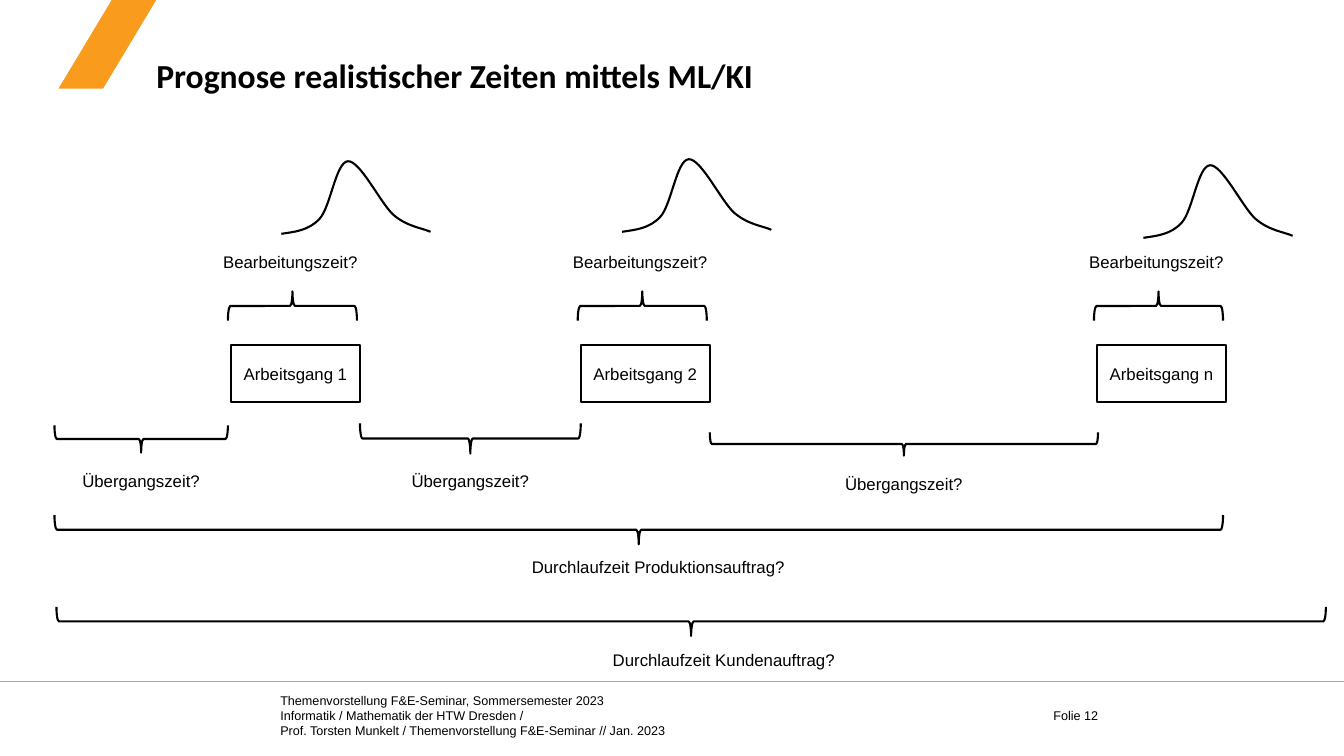
from dataclasses import dataclass

from lxml.etree import SubElement
from pptx import Presentation
from pptx.dml.color import RGBColor
from pptx.enum.shapes import MSO_CONNECTOR, MSO_SHAPE as SHAPE
from pptx.enum.text import MSO_ANCHOR as ANCHOR, MSO_AUTO_SIZE as AUTO, PP_ALIGN as ALIGN
from pptx.oxml.ns import qn
from pptx.util import Inches, Pt


@dataclass(frozen=True)
class Theme:
    black: RGBColor = RGBColor(0, 0, 0)
    white: RGBColor = RGBColor(255, 255, 255)
    orange: RGBColor = RGBColor(0xF9, 0x9B, 0x1C)
    title_font: str = "Calibri"
    body_font: str = "Arial"
    title_size: int = 24
    body_size: int = 12
    footer_size: int = 9
    stroke: float = 1.5
    rule: float = 1


BELL = [
    (0, 0.72),
    (0.13, 0.7), (0.27, 0.69), (0.38, 0.57),
    (0.49, 0.45), (0.54, 0.01), (0.66, 0),
    (0.78, -0.01), (0.98, 0.41), (1.11, 0.53),
    (1.25, 0.65), (1.39, 0.66), (1.48, 0.7),
]


class SlideBuilder:
    def __init__(self, prs, theme):
        self.theme = theme
        self.slide = prs.slides.add_slide(prs.slide_layouts[5])
        self.shapes = self.slide.shapes

    def format(self, tf, size, align=ALIGN.LEFT, font=None, bold=False):
        for p in tf.paragraphs:
            p.alignment = align
            for r in p.runs:
                r.font.name = font or self.theme.body_font
                r.font.size = Pt(size)
                r.font.bold = bold
                r.font.color.rgb = self.theme.black

    def no_margins(self, tf):
        tf.margin_left = tf.margin_right = tf.margin_top = tf.margin_bottom = 0

    def title(self, text, x, y, w, h):
        sp = self.shapes.title
        sp.left, sp.top, sp.width, sp.height = map(Inches, (x, y, w, h))
        tf = sp.text_frame
        tf.text = text
        tf.auto_size = AUTO.NONE
        tf.vertical_anchor = ANCHOR.BOTTOM
        self.no_margins(tf)
        tf.paragraphs[0].line_spacing = 0.9
        self.format(tf, self.theme.title_size, font=self.theme.title_font, bold=True)

    def text(self, text, x, y, w, h=0.3, size=None, align=ALIGN.CENTER, margins=True):
        tf = self.shapes.add_textbox(*map(Inches, (x, y, w, h))).text_frame
        tf.word_wrap = True
        tf.auto_size = AUTO.SHAPE_TO_FIT_TEXT
        tf.text = text
        if not margins:
            self.no_margins(tf)
        self.format(tf, size or self.theme.body_size, align)

    def shape(self, kind, x, y, w, h, fill=None, line=None):
        sp = self.shapes.add_shape(kind, *map(Inches, (x, y, w, h)))
        self.style(sp, fill, line)
        return sp

    def style(self, sp, fill, line):
        sp.shadow.inherit = False
        if fill is None:
            sp.fill.background()
        else:
            sp.fill.solid()
            sp.fill.fore_color.rgb = fill
        if line is None:
            sp.line.fill.background()
        else:
            sp.line.color.rgb = line
            sp.line.width = Pt(self.theme.stroke)

    def box(self, text, x, y, w, h):
        sp = self.shape(SHAPE.RECTANGLE, x, y, w, h, self.theme.white, self.theme.black)
        tf = sp.text_frame
        tf.word_wrap = True
        tf.text = text
        tf.vertical_anchor = ANCHOR.MIDDLE
        self.format(tf, self.theme.body_size, ALIGN.CENTER)

    def brace(self, x, y, w, depth, rotation=270):
        left, top = x + (w - depth) / 2, y + (depth - w) / 2
        sp = self.shape(SHAPE.LEFT_BRACE, left, top, depth, w, line=self.theme.black)
        sp.rotation = rotation

    def bell(self, x, y):
        pts = [(Inches(x + dx), Inches(y + dy)) for dx, dy in BELL]
        fb = self.shapes.build_freeform(*pts[0])
        fb.add_line_segments(pts[1:], close=False)
        sp = fb.convert_to_shape()
        self.style(sp, None, self.theme.black)
        outline = next(sp._element.iter(qn("a:path")))
        segments = outline.findall(qn("a:lnTo"))
        for i in range(0, len(segments), 3):
            curve = SubElement(outline, qn("a:cubicBezTo"))
            for segment in segments[i:i + 3]:
                curve.append(segment[0])
                outline.remove(segment)

    def rule(self, x1, x2, y):
        cxn = self.shapes.add_connector(
            MSO_CONNECTOR.STRAIGHT, *map(Inches, (x1, y, x2, y)))
        cxn.line.fill.solid()
        cxn.line.fill.fore_color.rgb = self.theme.orange
        cxn.line.width = Pt(self.theme.rule)
        SubElement(cxn._element.spPr, qn("a:effectLst"))
        cxn._element.remove(cxn._element.find(qn("p:style")))


def main():
    prs = Presentation()
    prs.slide_width, prs.slide_height = Inches(13.33), Inches(7.5)
    theme = Theme()
    s = SlideBuilder(prs, theme)

    s.text("Themenvorstellung F&E-Seminar, Sommersemester 2023\n"
           "Informatik / Mathematik der HTW Dresden /\n"
           "Prof. Torsten Munkelt / Themenvorstellung F&E-Seminar // Jan. 2023",
           2.78, 6.87, 6.71, 0.45, theme.footer_size, ALIGN.LEFT, margins=False)
    s.text("Folie 12", 10.35, 6.97, 0.8, 0.25, theme.footer_size, ALIGN.LEFT)
    accent = s.shape(SHAPE.PARALLELOGRAM, 0.58, 0, 0.97, 0.88, theme.orange)
    accent.adjustments[0] = 0.6
    s.rule(0, 13.33, 6.76)
    s.title("Prognose realistischer Zeiten mittels ML/KI", 1.55, 0.27, 11.17, 0.68)

    operations = [("1", 2.29, 2.79, 1.6), ("2", 5.76, 6.17, 1.58), ("n", 10.88, 11.34, 1.64)]
    for number, x, bell_x, bell_y in operations:
        s.box(f"Arbeitsgang {number}", x, 3.42, 1.28, 0.57)
        s.brace(x - 0.03, 2.89, 1.28, 0.29, rotation=90)
        s.text("Bearbeitungszeit?", x - 0.25, 2.45, 1.68)
        s.bell(bell_x, bell_y)

    transitions = [(0.54, 4.22, 1.72, 0.27, 4.62), (3.57, 4.2, 2.19, 0.3, 4.62),
                   (7.04, 4.29, 3.85, 0.23, 4.65)]
    for x, y, w, depth, label_y in transitions:
        s.brace(x, y, w, depth)
        s.text("Übergangszeit?", x + w / 2 - 0.84, label_y, 1.68)

    totals = [("Produktionsauftrag", 0.54, 5.11, 11.59, 4.21, 5.47, 4.64),
              ("Kundenauftrag", 0.56, 6.02, 12.59, 5.43, 6.4, 3.5)]
    for order, x, y, w, label_x, label_y, label_w in totals:
        s.brace(x, y, w, 0.29)
        s.text(f"Durchlaufzeit {order}?", label_x, label_y, label_w)

    prs.save("out.pptx")


if __name__ == "__main__":
    main()
